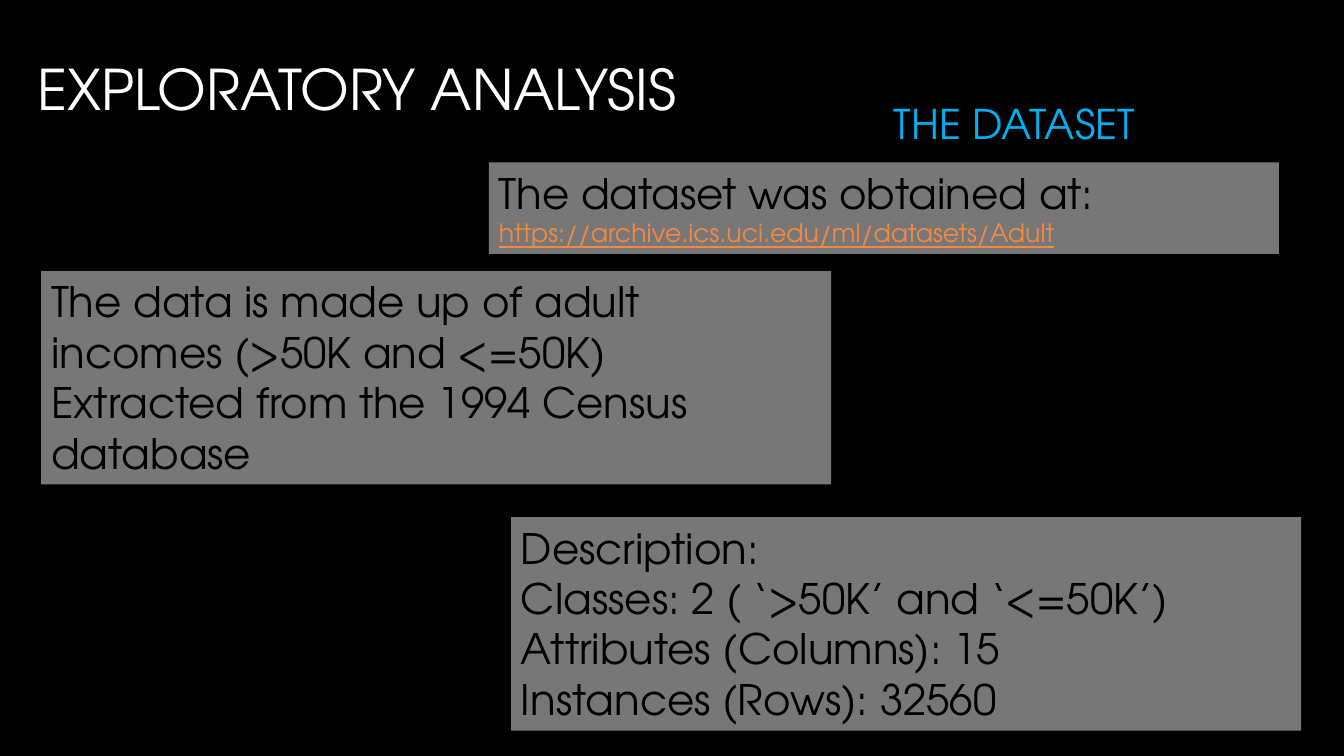
from lxml.etree import SubElement
from pptx import Presentation
from pptx.dml.color import RGBColor
from pptx.enum.shapes import MSO_SHAPE
from pptx.enum.text import MSO_ANCHOR, MSO_AUTO_SIZE, PP_ALIGN
from pptx.oxml.ns import qn
from pptx.util import Cm, Pt

FONT = "TeX Gyre Adventor"
BLACK, WHITE, GREY = "000000", "FFFFFF", "A9A9A9"
BLUE, ORANGE = "00B0F0", "F28943"


def paint(target, colour):
    target.rgb = RGBColor.from_string(colour)


class SlideBuilder:
    panel_width = 19.91
    panel_opacity = 71

    def __init__(self, presentation):
        self.slide = presentation.slides.add_slide(presentation.slide_layouts[5])
        fill = self.slide.background.fill
        fill.solid()
        paint(fill.fore_color, BLACK)

    def place(self, shape, left, top, width, height):
        shape.left, shape.top = Cm(left), Cm(top)
        shape.width, shape.height = Cm(width), Cm(height)

    def add_lines(self, shape, lines, anchor, auto_size=MSO_AUTO_SIZE.NONE):
        frame = shape.text_frame
        frame.word_wrap = True
        frame.auto_size = auto_size
        frame.vertical_anchor = anchor
        for index, (text, size, colour, underlined) in enumerate(lines):
            paragraph = frame.paragraphs[0] if index == 0 else frame.add_paragraph()
            paragraph.alignment = PP_ALIGN.LEFT
            run = paragraph.add_run()
            run.text = text
            run.font.name = FONT
            run.font.size = Pt(size)
            run.font.underline = underlined
            paint(run.font.color, colour)

    def title(self, text, left, top, width, height):
        shape = self.slide.shapes.title
        self.place(shape, left, top, width, height)
        self.add_lines(shape, [(text, 40, WHITE, False)], MSO_ANCHOR.MIDDLE)
        shape.text_frame.margin_bottom = Cm(1.8)

    def subtitle(self, text, left, top, width, height):
        shape = self.slide.shapes.add_textbox(Cm(left), Cm(top), Cm(width), Cm(height))
        self.add_lines(shape, [(text, 29.2, BLUE, False)], MSO_ANCHOR.MIDDLE)

    def panel(self, lines, left, top, height):
        shape = self.slide.shapes.add_shape(
            MSO_SHAPE.RECTANGLE, Cm(left), Cm(top), Cm(self.panel_width), Cm(height)
        )
        shape.shadow.inherit = False
        shape.line.fill.background()
        shape.fill.solid()
        paint(shape.fill.fore_color, GREY)
        colour = next(shape.element.spPr.iter(qn("a:srgbClr")))
        SubElement(colour, qn("a:alpha"), val=str(self.panel_opacity * 1000))
        self.add_lines(shape, lines, MSO_ANCHOR.TOP, MSO_AUTO_SIZE.SHAPE_TO_FIT_TEXT)


def body(*texts):
    return [(text, 30, BLACK, False) for text in texts]


def main():
    presentation = Presentation()
    presentation.slide_width, presentation.slide_height = Cm(33.87), Cm(19.05)
    builder = SlideBuilder(presentation)
    builder.title("EXPLORATORY ANALYSIS", 0.69, 0.64, 17.96, 4.83)
    address = ("https://archive.ics.uci.edu/ml/datasets/Adult", 18, ORANGE, True)
    builder.panel(body("The dataset was obtained at:") + [address], 12.32, 4.09, 2.31)
    builder.panel(
        body(
            "The data is made up of adult incomes (>50K and <=50K)",
            "Extracted from the 1994 Census database",
        ),
        1.04, 6.83, 5.38,
    )
    builder.panel(
        body(
            "Description:",
            "Classes: 2 ( ‘>50K’ and ‘<=50K’)",
            "Attributes (Columns): 15",
            "Instances (Rows): 32560",
        ),
        12.88, 13.03, 5.38,
    )
    builder.subtitle("THE DATASET", 22.28, 0.69, 11.59, 4.83)
    presentation.save("out.pptx")


if __name__ == "__main__":
    main()
